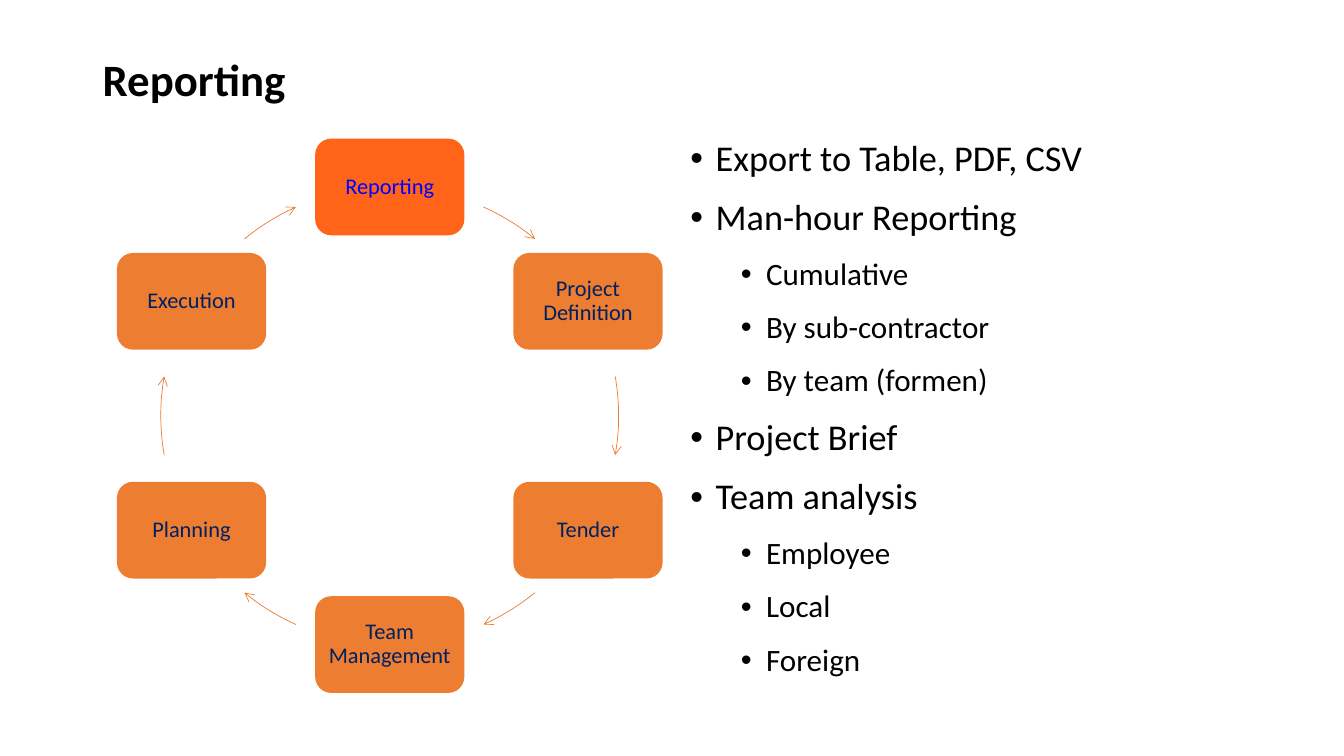
from math import cos, radians, sin

from lxml import etree
from pptx import Presentation
from pptx import util as u
from pptx.dml.color import RGBColor
from pptx.enum import shapes, text
from pptx.oxml.ns import qn

TITLE = "Reporting"
STEPS = ["Reporting", "Project Definition", "Tender",
         "Team Management", "Planning", "Execution"]
POINTS = [
    (0, "Export to Table, PDF, CSV"),
    (0, "Man-hour Reporting"),
    (1, "Cumulative"),
    (1, "By sub-contractor"),
    (1, "By team (formen)"),
    (0, "Project Brief"),
    (0, "Team analysis"),
    (1, "Employee"),
    (1, "Local"),
    (1, "Foreign"),
]
COLORS = {"ink": "000000", "step": "ED7D31", "now": "FF6419",
          "label": "002060", "link": "0000FF"}
FONT = "Calibri"
WIDE, HIGH = 13.33, 7.5
MID_X, MID_Y, RADIUS = 0.29 * WIDE, 0.55 * HIGH, 2.27
BOX_W, BOX_H = 1.48, 0.96
TURN = 360 / len(STEPS)
# Middle and half sweep of each arrow, in degrees clockwise from the top
ARROWS = [(31.8, 7.6), (90, 9.9), (148.2, 7.6),
          (211.8, 7.6), (270, 9.9), (328.2, 7.6)]
SIZES = [25.9, 22.2]
INDENTS = [0.25, 0.75]


def color(name):
    return RGBColor.from_string(COLORS[name])


def write(para, words, size, tone="ink", bold=False, line=0.9, gap=0,
          align=text.PP_ALIGN.LEFT):
    para.alignment = align
    para.line_spacing = line
    para.space_before = para.space_after = u.Pt(gap)
    run = para.add_run()
    run.text = words
    run.font.name, run.font.size, run.font.bold = FONT, u.Pt(size), bold
    run.font.color.rgb = color(tone)


def frame(slide, left, top, width, height, anchor):
    box = slide.shapes.add_textbox(*map(u.Inches, (left, top, width, height)))
    box.text_frame.word_wrap = True
    box.text_frame.vertical_anchor = anchor
    return box.text_frame


def bullet(para, level):
    para.level = level
    props = para._p.get_or_add_pPr()
    props.set("marL", str(u.Inches(INDENTS[level])))
    props.set("indent", str(u.Inches(-0.25)))
    etree.SubElement(props, qn("a:buFont"), typeface="Arial")
    etree.SubElement(props, qn("a:buChar"), char="•")


def step(slide, spot, words):
    angle = radians(spot * TURN)
    left = MID_X + RADIUS * sin(angle) - BOX_W / 2
    top = MID_Y - RADIUS * cos(angle) - BOX_H / 2
    box = slide.shapes.add_shape(
        shapes.MSO_SHAPE.ROUNDED_RECTANGLE,
        *map(u.Inches, (left, top, BOX_W, BOX_H)))
    box.shadow.inherit = False
    box.fill.solid()
    box.fill.fore_color.rgb = color("step" if spot else "now")
    box.line.fill.background()
    body = box.text_frame
    body.word_wrap = True
    body.vertical_anchor = text.MSO_ANCHOR.MIDDLE
    body.margin_left = body.margin_right = u.Inches(0.07)
    body.margin_top = body.margin_bottom = u.Inches(0.07)
    write(body.paragraphs[0], words, 16, "label" if spot else "link",
          align=text.PP_ALIGN.CENTER)


def arrow(slide, middle, half):
    arc = slide.shapes.add_shape(
        shapes.MSO_SHAPE.ARC,
        *map(u.Inches, (MID_X - RADIUS, MID_Y - RADIUS, 2 * RADIUS, 2 * RADIUS)))
    # An arc counts 60000ths of a degree from the right; 1.0 stands for 100000
    for spot, angle in enumerate((middle - half, middle + half)):
        arc.adjustments[spot] = (angle - 90) % 360 * 0.6
    arc.shadow.inherit = False
    arc.fill.background()
    arc.line.color.rgb = color("step")
    arc.line.width = u.Pt(0.5)
    etree.SubElement(arc.line._get_or_add_ln(), qn("a:tailEnd"), type="arrow")


def main():
    deck = Presentation()
    deck.slide_width, deck.slide_height = u.Inches(WIDE), u.Inches(HIGH)
    slide = deck.slides.add_slide(deck.slide_layouts[6])

    head = frame(slide, 0.92, 0.4, 10.47, 0.83, text.MSO_ANCHOR.MIDDLE)
    write(head.paragraphs[0], TITLE, 32, bold=True)

    body = frame(slide, 6.75, 1.31, 5.67, 5.78, text.MSO_ANCHOR.TOP)
    for spot, (level, words) in enumerate(POINTS):
        para = body.add_paragraph() if spot else body.paragraphs[0]
        write(para, words, SIZES[level], line=0.98, gap=6)
        bullet(para, level)

    for spot, words in enumerate(STEPS):
        step(slide, spot, words)
        arrow(slide, *ARROWS[spot])
    deck.save("out.pptx")


if __name__ == "__main__":
    main()
